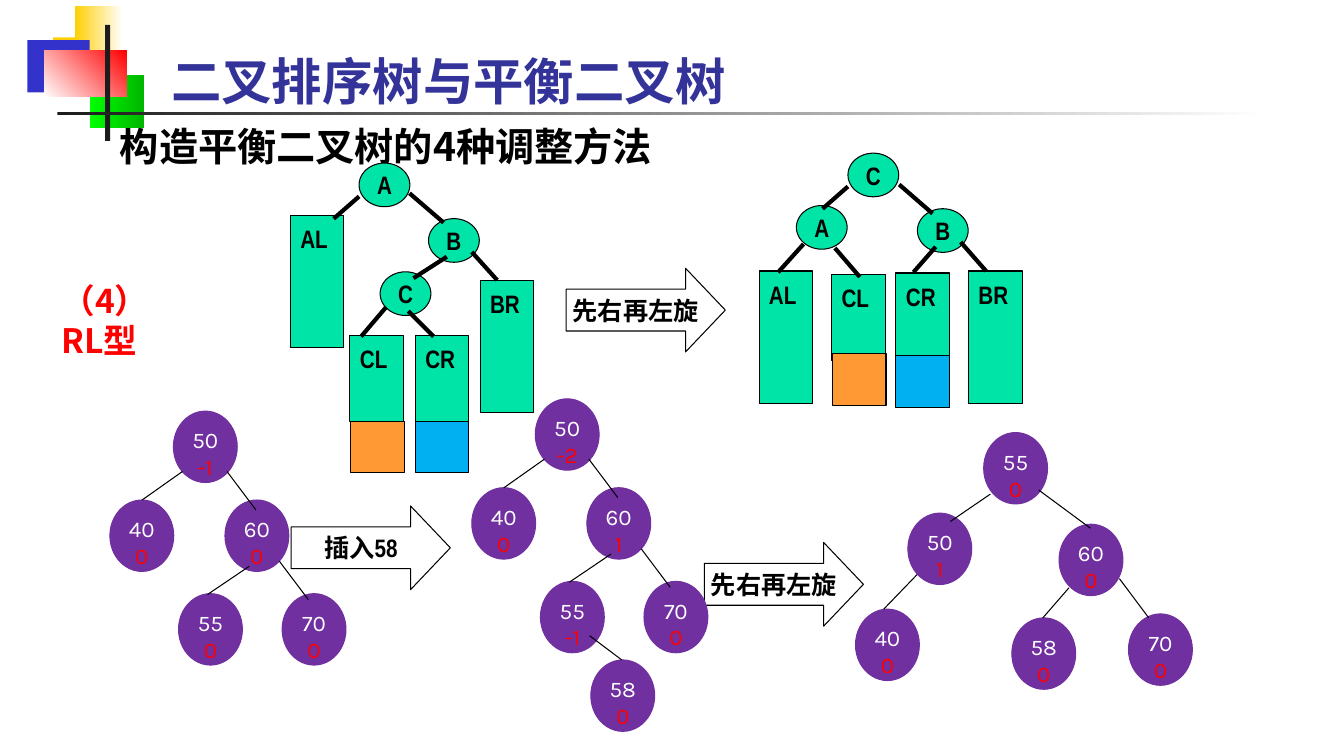
from lxml import etree
from pptx import Presentation, util as u
from pptx.dml import color
from pptx.enum import shapes, text
from pptx.oxml import ns

COLORS = {
    "title": "333399", "black": "000000", "white": "FFFFFF", "red": "FF0000",
    "node": "7030A0", "subtree": "00E4A8", "orange": "FF9933", "blue": "00B0F0",
    "yellow": "FFCF01", "indigo": "3333CC", "lime": "00FF00", "green": "00B600",
    "ink": "1C1C1C",
}
NARROW, CJK, DIGITS = "Arial Narrow", "Noto Sans CJK SC", "Karla"
SHAPE = shapes.MSO_SHAPE
CENTER = text.PP_ALIGN.CENTER
MIDDLE = text.MSO_ANCHOR.MIDDLE

# Sizes in centimetres
CIRCLE, BAR_WIDTH, BLOCK_HEIGHT = (1.28, 1.1), 1.35, 1.3
NODE, ARROW = (1.61, 1.8), (4.01, 2.11)


def rgb(name):
    return color.RGBColor.from_string(COLORS[name])


def format_para(para, size, name, font, bold=True, align=None):
    para.alignment = align
    for span in para.runs:
        span.font.size = u.Pt(size)
        span.font.bold = bold
        span.font.name = font
        span.font.color.rgb = rgb(name)
        east_asian = etree.SubElement(span._r.get_or_add_rPr(), ns.qn("a:ea"))
        east_asian.set("typeface", CJK)


def add_block(page, kind, left, top, size, fill, line="black"):
    shape = page.shapes.add_shape(kind, u.Cm(left), u.Cm(top), u.Cm(size[0]), u.Cm(size[1]))
    shape.shadow.inherit = False
    if isinstance(fill, tuple):
        shape.fill.gradient()
        for stop, name in zip(shape.fill.gradient_stops, fill):
            stop.color.rgb = rgb(name)
    else:
        shape.fill.solid()
        shape.fill.fore_color.rgb = rgb(fill)
    if line:
        shape.line.color.rgb = rgb(line)
        shape.line.width = u.Pt(0.75)
    else:
        shape.line.fill.background()
    return shape


def add_label(shape, words, align=CENTER):
    frame = shape.text_frame
    frame.word_wrap = False
    frame.vertical_anchor = MIDDLE
    frame.text = words
    format_para(frame.paragraphs[0], 18, "black", NARROW, align=align)


def add_edges(page, box, edges, width):
    left, top = box
    for x1, y1, x2, y2 in edges:
        edge = page.shapes.add_connector(
            shapes.MSO_CONNECTOR.STRAIGHT,
            u.Cm(left + x1), u.Cm(top + y1), u.Cm(left + x2), u.Cm(top + y2))
        edge.line.color.rgb = rgb("black")
        edge.line.width = u.Pt(width)
        etree.SubElement(edge._element.spPr, ns.qn("a:effectLst"))


def add_ornament(page, box):
    """Coloured squares and rules in the corner."""
    left, top = box
    parts = [
        (0.65, 0.79, (1.63, 1.32), "yellow", 0),
        (1.19, 0, (1.22, 1.32), ("yellow", "white"), 0),
        (0, 0.86, (1.57, 1.32), "indigo", 0),
        (1.57, 1.75, (1.37, 1.32), ("lime", "green"), 0),
        (0.43, 1.12, (2.08, 1.17), ("white", "red"), 45),
        (1.96, 0.48, (0.13, 2.92), "ink", 0),
        (0.76, 2.67, (30.48, 0.08), ("ink", "white"), 0),
    ]
    for x, y, size, fill, angle in parts:
        part = add_block(page, SHAPE.RECTANGLE, left + x, top + y, size, fill, line=None)
        if isinstance(fill, tuple):
            part.fill.gradient_angle = angle


def fill_heading(shape, box, words, size, name, font):
    shape.left, shape.top, shape.width, shape.height = (u.Cm(length) for length in box)
    frame = shape.text_frame
    frame.text = words
    frame.word_wrap = True
    frame.auto_size = text.MSO_AUTO_SIZE.NONE
    frame.vertical_anchor = MIDDLE
    para = frame.paragraphs[0]
    props = para._p.get_or_add_pPr()
    props.set("marL", "0")
    props.set("indent", "0")
    etree.SubElement(props, ns.qn("a:buNone"))
    para.space_before = u.Pt(0)
    format_para(para, size, name, font, align=text.PP_ALIGN.LEFT)


def add_case_label(page, box, words):
    shape = page.shapes.add_textbox(*(u.Cm(length) for length in box))
    frame = shape.text_frame
    frame.word_wrap = True
    frame.text = words
    format_para(frame.paragraphs[0], 24, "red", CJK)


def add_step_arrow(page, box, words):
    arrow = add_block(page, SHAPE.RIGHT_ARROW, *box, ARROW, "white")
    arrow.adjustments[1] = 0.475
    add_label(arrow, words)


def add_subtree_diagram(page, box, circles, bars, blocks, edges):
    """Schematic tree: lettered circles above subtree bars."""
    left, top = box
    for letter, x, y in circles:
        add_label(add_block(page, SHAPE.OVAL, left + x, top + y, CIRCLE, "subtree"), letter)
    for name, x, y in bars:
        height = 2.18 if name.startswith("C") else 3.33
        bar = add_block(page, SHAPE.RECTANGLE, left + x, top + y, (BAR_WIDTH, height), "subtree")
        add_label(bar, name, text.PP_ALIGN.LEFT)
        bar.text_frame.vertical_anchor = text.MSO_ANCHOR.TOP
        bar.text_frame.margin_top = u.Cm(0.2)
    for fill, x, y in blocks:
        add_block(page, SHAPE.RECTANGLE, left + x, top + y, (BAR_WIDTH, BLOCK_HEIGHT), fill)
    add_edges(page, box, edges, 3)


def add_number_tree(page, box, nodes, factors, edges):
    """Search tree: each node shows its key and its balance factor."""
    left, top = box
    for (key, x, y), factor in zip(nodes, factors):
        node = add_block(page, SHAPE.OVAL, left + x, top + y, NODE, "node", "node")
        frame = node.text_frame
        frame.word_wrap = False
        frame.vertical_anchor = text.MSO_ANCHOR.TOP
        frame.text = f"{key}\n{factor}"
        for para, name in zip(frame.paragraphs, ("white", "red")):
            format_para(para, 16, name, DIGITS, bold=False, align=CENTER)
    add_edges(page, box, edges, 0.75)


def main():
    deck = Presentation()
    deck.slide_width, deck.slide_height = u.Cm(33.87), u.Cm(19.05)
    page = deck.slides.add_slide(deck.slide_layouts[1])

    # Heading
    add_ornament(page, (0.69, 0.15))
    title, body = page.placeholders
    fill_heading(title, (4.06, 1.14, 17.98, 1.78), "二叉排序树与平衡二叉树", 36, "title", NARROW)
    fill_heading(body, (2.77, 3, 25.6, 1.36), "构造平衡二叉树的4种调整方法", 28, "black", CJK)
    add_case_label(page, (1.3, 6.92, 3.2, 2.4), "（4）RL型")

    # Steps
    add_step_arrow(page, (14.27, 6.76), "先右再左旋")
    add_step_arrow(page, (7.34, 12.75), "插入58")
    add_step_arrow(page, (17.75, 13.67), "先右再左旋")

    # Schematic trees before and after the rotation
    add_subtree_diagram(
        page, (7.32, 4.11),
        [("A", 1.73, 0), ("B", 3.48, 1.4), ("C", 2.26, 2.74)],
        [("AL", 0, 1.32), ("CL", 1.5, 4.34), ("CR", 3.15, 4.34), ("BR", 4.78, 2.95)],
        [("orange", 1.52, 6.5), ("blue", 3.15, 6.5)],
        [(1.73, 0.84, 1.09, 1.4), (3, 0.76, 3.86, 1.5), (3.94, 2.36, 3.1, 2.9),
         (4.57, 2.24, 5.21, 2.95), (2.41, 3.63, 1.78, 4.37), (2.97, 3.73, 3.61, 4.37)])
    add_subtree_diagram(
        page, (19.13, 3.86),
        [("C", 2.24, 0), ("A", 0.94, 1.32), ("B", 3.99, 1.4)],
        [("AL", 0, 2.97), ("CL", 1.83, 3.05), ("CR", 3.45, 3.02), ("BR", 5.28, 2.97)],
        [("orange", 1.85, 5.05), ("blue", 3.45, 5.11)],
        [(2.24, 0.84, 1.6, 1.4), (3.53, 0.79, 4.37, 1.52), (4.45, 2.36, 3.89, 3),
         (5.08, 2.24, 5.72, 2.97), (1.12, 2.29, 0.48, 3), (1.91, 2.39, 2.54, 3.12)])

    # Worked example: start, after the insertion, after the rotation
    nodes = [(50, 1.6, 0), (40, 0, 2.24), (60, 2.9, 2.24), (55, 1.73, 4.6), (70, 4.34, 4.6)]
    edges = [(1.83, 1.52, 0.81, 2.24), (2.95, 1.52, 3.68, 2.49),
             (3.51, 3.91, 2.46, 4.62), (4.27, 3.78, 5, 4.75)]
    add_number_tree(page, (2.77, 10.36), nodes, [-1, 0, 0, 0, 0], edges)
    add_number_tree(page, (11.89, 10.05), nodes + [(58, 3, 6.58)], [-2, 0, 1, -1, 0, 0],
                    edges + [(2.97, 5.97, 3.78, 6.58)])
    add_number_tree(
        page, (21.56, 10.9),
        [(55, 3.23, 0), (50, 1.32, 2.03), (60, 5.13, 2.31),
         (40, 0, 4.45), (58, 3.94, 4.67), (70, 6.88, 4.57)],
        [0, 1, 0, 0, 0, 0],
        [(3.4, 1.55, 2.39, 2.24), (4.62, 1.45, 5.92, 2.41), (1.55, 3.58, 0.71, 4.45),
         (5.38, 3.91, 4.72, 4.67), (6.65, 3.68, 7.39, 4.67)])

    deck.save("out.pptx")


if __name__ == "__main__":
    main()
